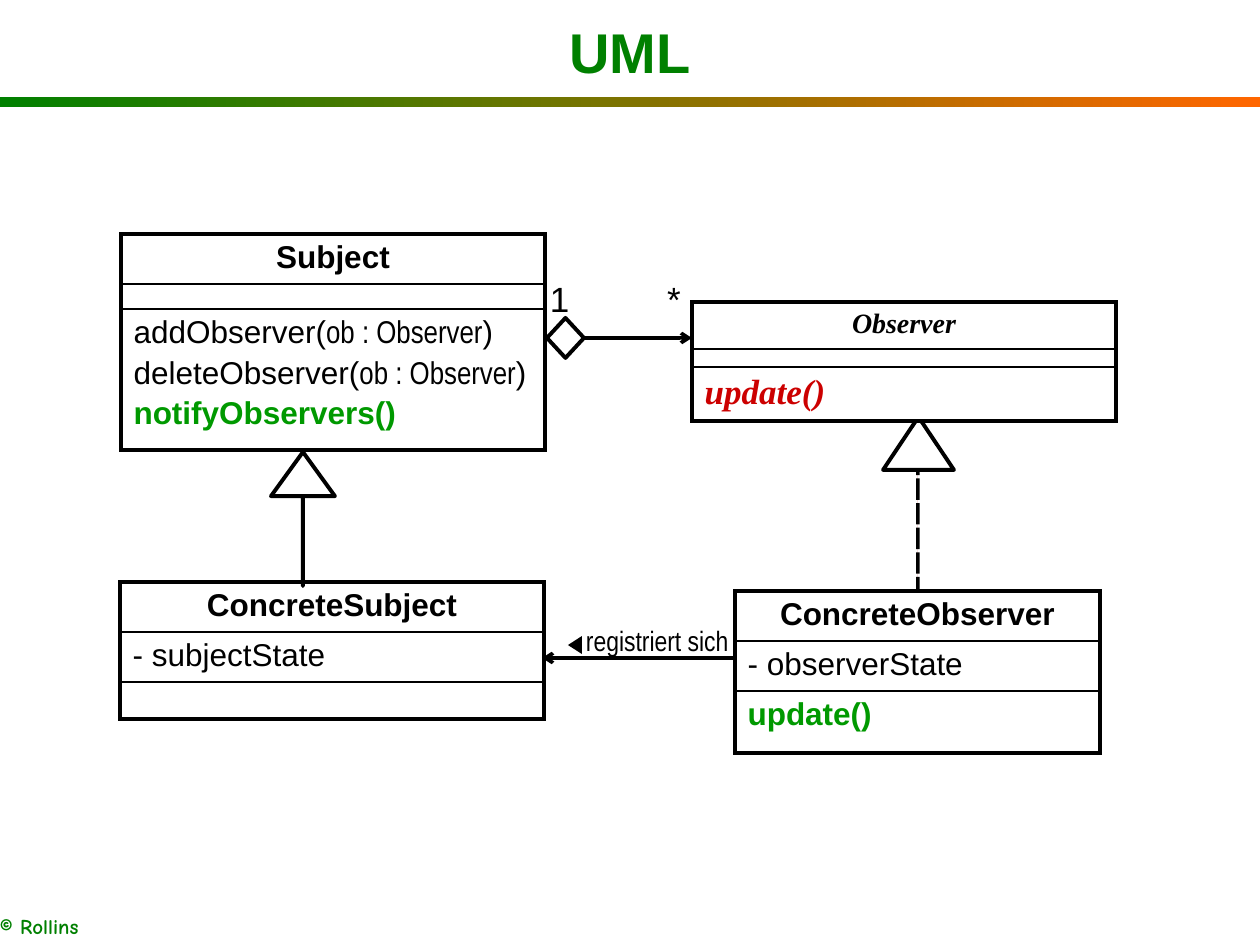
"""Builds a UML class slide of the observer pattern."""
from lxml.etree import SubElement
from pptx import Presentation
from pptx.dml.color import RGBColor
from pptx.enum.dml import MSO_LINE
from pptx.enum.shapes import MSO_CONNECTOR, MSO_SHAPE
from pptx.enum.text import MSO_ANCHOR, PP_ALIGN
from pptx.oxml import parse_xml
from pptx.oxml.ns import nsdecls, qn
from pptx.util import Pt

BLACK, WHITE, RED, GREEN, DARK = "000000", "FFFFFF", "CC0000", "009900", "008000"
SANS, SLIM, SERIF = "Arial", "Arial Narrow", "Times New Roman"
PLAIN = dict(size=18, name=SANS, color=BLACK, bold=False)
BOLD = dict(PLAIN, bold=True)
CALL = dict(BOLD, color=GREEN)
ITALIC = dict(BOLD, size=16, name=SERIF, italic=True)
ARG = "ob : Observer"

TABLES = [
    (121, 234, 424, [50, 25, 141], [
        [("Subject", BOLD)],
        [],
        [(f"addObserver({ARG})", PLAIN), (f"deleteObserver({ARG})", PLAIN),
         ("notifyObservers()", CALL)]]),
    (692, 302, 424, [47, 18, 54], [
        [("Observer", ITALIC)],
        [],
        [("update()", dict(ITALIC, size=20, color=RED))]]),
    (120, 582, 424, [50, 50, 37], [
        [("ConcreteSubject", BOLD)], [("- subjectState", PLAIN)], []]),
    (735, 591, 365, [50, 50, 62], [
        [("ConcreteObserver", BOLD)], [("- observerState", PLAIN)],
        [("update()", CALL)]]),
]
BACK = [
    (MSO_SHAPE.UP_ARROW, 898, 420, 40, 291, RED, 2, [0, 0.85], True, 0),
    (MSO_SHAPE.ISOSCELES_TRIANGLE, 883, 417, 71, 53, WHITE, 2.25, [], False, 0),
]
FRONT = [
    (MSO_SHAPE.UP_ARROW, 271, 452, 64, 134, WHITE, 2.25, [0, 0.69], False, 0),
    (MSO_SHAPE.DIAMOND, 547, 318, 37, 40, WHITE, 2.25, [], False, 0),
    (MSO_SHAPE.ISOSCELES_TRIANGLE, 566, 638, 18, 14, BLACK, 0, [], False, 270),
]
LINES = [(735, 658, 542, 658), (546, 338, 692, 338)]
TEXTS = [
    (0, 907, 189, 31, "© Rollins", dict(size=12, name="Comic Neue", color=DARK, bold=True), 0),
    (537, 271, 181, 55, "1\t*", dict(PLAIN, size=20), 13),
    (573, 617, 170, 47, "registriert sich", dict(PLAIN, size=16, name=SLIM), 13),
]
STAR = 117


def px(n):
    return round(n * 914400 / 126)


def rgb(code):
    return RGBColor.from_string(code)


def style(para, size, name, color, bold, italic=False):
    font = para.font
    font.size, font.name, font.bold, font.italic = Pt(size), name, bold, italic
    font.color.rgb = rgb(color)


def shape(kind, x, y, w, h, fill, width, adj=(), dash=False, turn=0):
    item = slide.shapes.add_shape(kind, *map(px, (x, y, w, h)))
    item.shadow.inherit = False
    item.rotation = turn
    for i, value in enumerate(adj):
        item.adjustments[i] = value
    if fill:
        item.fill.solid()
        item.fill.fore_color.rgb = rgb(fill)
    if width:
        item.line.color.rgb = rgb(BLACK)
        item.line.width = Pt(width)
        if dash:
            item.line.dash_style = MSO_LINE.DASH
    else:
        item.line.fill.background()
    return item


def border(cell, top, base):
    props = cell._tc.get_or_add_tcPr()
    for i, (side, width) in enumerate(zip("LRTB", (2.25, 2.25, top, base))):
        props.insert(i, parse_xml(
            f'<a:ln{side} {nsdecls("a")} w="{Pt(width)}"><a:solidFill>'
            f'<a:srgbClr val="{BLACK}"/></a:solidFill></a:ln{side}>'))


def write(cell, items, head):
    frame = cell.text_frame
    if not items:
        cell.margin_top = cell.margin_bottom = 0
        frame.paragraphs[0]._p.get_or_add_endParaRPr().set("sz", "600")
    for i, (text, look) in enumerate(items):
        para = frame.add_paragraph() if i else frame.paragraphs[0]
        if i:
            para.space_before = Pt(3)
        para.alignment = PP_ALIGN.CENTER if head else PP_ALIGN.LEFT
        style(para, **look)
        start, arg, rest = text.partition(ARG)
        for part in filter(None, (start, arg, rest)):
            run = para.add_run()
            run.text = part
            if part == ARG:
                run.font.name = SLIM


def table(x, y, w, rows, cells):
    grid = slide.shapes.add_table(len(rows), 1, *map(px, (x, y, w, sum(rows)))).table
    grid.first_row = grid.horz_banding = False
    last = len(rows) - 1
    for i, (high, items) in enumerate(zip(rows, cells)):
        grid.rows[i].height = px(high)
        cell = grid.cell(i, 0)
        cell.fill.solid()
        cell.fill.fore_color.rgb = rgb(WHITE)
        border(cell, 1 if i else 2.25, 2.25 if i == last else 1)
        write(cell, items, i == 0)


def arrow(*ends):
    line = slide.shapes.add_connector(MSO_CONNECTOR.STRAIGHT, *map(px, ends))
    line.line.color.rgb = rgb(BLACK)
    line.line.width = Pt(2)
    SubElement(line.line._get_or_add_ln(), qn("a:tailEnd"), type="arrow")
    SubElement(line._element.spPr, qn("a:effectLst"))


def label(x, y, w, h, text, look, left):
    frame = slide.shapes.add_textbox(*map(px, (x, y, w, h))).text_frame
    frame.word_wrap = True
    frame.margin_left = px(left)
    para = frame.paragraphs[0]
    para.text = text
    if "\t" in text:
        tabs = SubElement(para._p.get_or_add_pPr(), qn("a:tabLst"))
        SubElement(tabs, qn("a:tab"), pos=str(px(STAR)), algn="l")
    style(para, **look)


deck = Presentation()
deck.slide_width, deck.slide_height = px(1260), px(945)
slide = deck.slides.add_slide(deck.slide_layouts[5])

title = slide.shapes.title
title.left, title.top, title.width, title.height = map(px, (0, 5, 1260, 93))
title.text_frame.text = "UML"
title.text_frame.vertical_anchor = MSO_ANCHOR.MIDDLE
title.text_frame.paragraphs[0].alignment = PP_ALIGN.CENTER
style(title.text_frame.paragraphs[0], 32, SANS, DARK, True)

bar = shape(MSO_SHAPE.RECTANGLE, 0, 97, 1260, 10, None, 0)
bar.fill.gradient()
bar.fill.gradient_angle = 0
for stop, code in zip(bar.fill.gradient_stops, (DARK, "FF6600")):
    stop.color.rgb = rgb(code)

for draw, items in ((shape, BACK), (table, TABLES), (arrow, LINES),
                    (shape, FRONT), (label, TEXTS)):
    for item in items:
        draw(*item)

deck.save("out.pptx")
